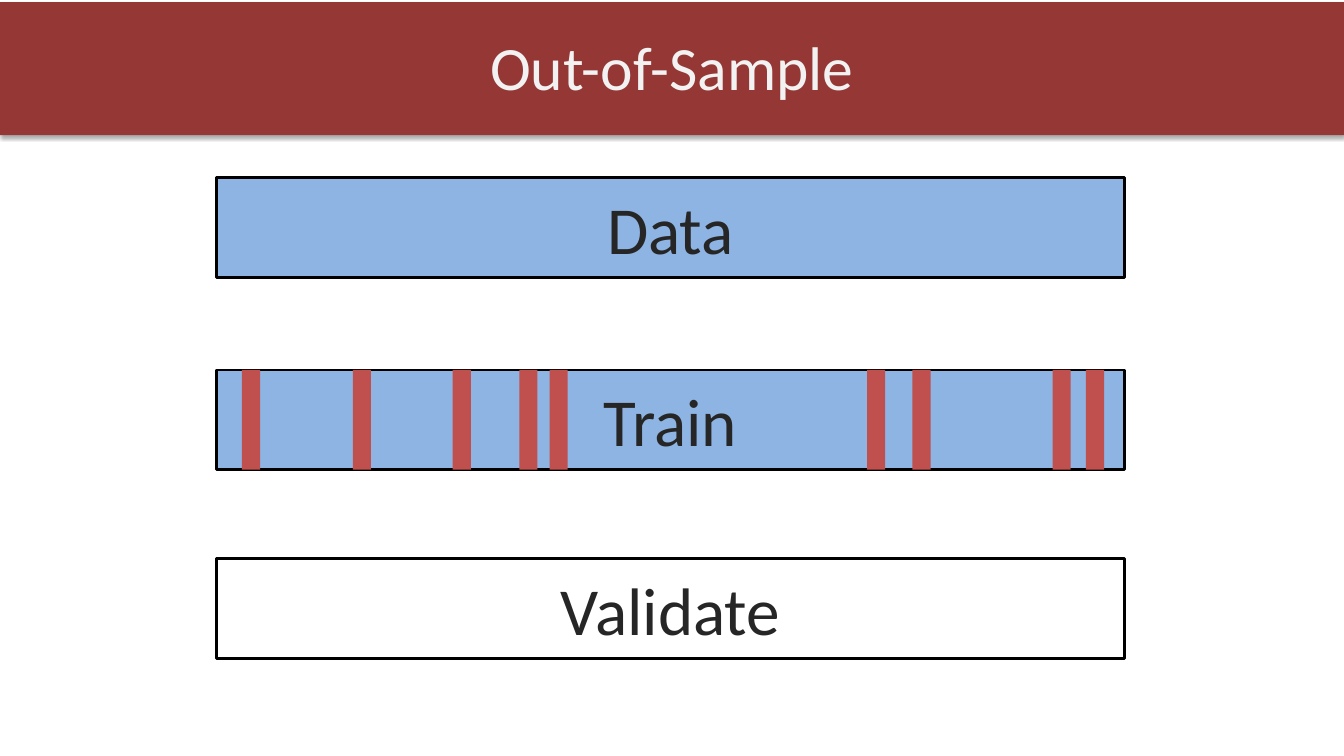
from pptx import Presentation, util as u
from pptx.dml.color import RGBColor
from pptx.enum import shapes, text
from pptx.oxml import parse_xml
from pptx.oxml.ns import nsdecls

COLORS = {
    "banner": "953735",
    "title": "F2F2F2",
    "data": "8EB4E3",
    "blank": "FFFFFF",
    "sample": "C0504D",
    "edge": "000000",
    "ink": "262626",
}


class Deck:
    font = "Calibri"

    def __init__(self, wide, high):
        self.prs = Presentation()
        self.prs.slide_width = u.Inches(wide)
        self.prs.slide_height = u.Inches(high)
        self.slide = self.prs.slides.add_slide(self.prs.slide_layouts[6])

    def color(self, name):
        return RGBColor.from_string(COLORS[name])

    def rect(self, box, fill):
        shape = self.slide.shapes.add_shape(
            shapes.MSO_SHAPE.RECTANGLE, *map(u.Inches, box))
        shape.shadow.inherit = False
        shape.fill.solid()
        shape.fill.fore_color.rgb = self.color(fill)
        shape.line.fill.background()
        return shape

    def label(self, shape, words, size, ink):
        frame = shape.text_frame
        frame.word_wrap = True
        frame.vertical_anchor = text.MSO_ANCHOR.MIDDLE
        para = frame.paragraphs[0]
        para.text = words
        para.alignment = text.PP_ALIGN.CENTER
        para.font.name = self.font
        para.font.size = u.Pt(size)
        para.font.color.rgb = self.color(ink)

    def banner(self, box):
        shape = self.rect(box, "banner")
        props = shape._element.spPr
        props.remove(props.find("{*}effectLst"))
        props.append(parse_xml(
            f'<a:effectLst {nsdecls("a")}>'
            '<a:outerShdw blurRad="40000" dist="23000" dir="5400000" rotWithShape="0">'
            f'<a:srgbClr val="{COLORS["edge"]}"><a:alpha val="35000"/></a:srgbClr>'
            '</a:outerShdw></a:effectLst>'))

    def title(self, words, box):
        shape = self.slide.shapes.add_textbox(*map(u.Inches, box))
        self.label(shape, words, 44, "title")

    def bar(self, words, box, fill):
        shape = self.rect(box, fill)
        shape.line.color.rgb = self.color("edge")
        shape.line.width = u.Pt(2)
        self.label(shape, words, 48, "ink")


def main():
    wide, high = 13.33, 0.99
    deck = Deck(wide, 7.5)
    deck.banner((0, 0.02, wide, 1.32))
    deck.title("Out-of-Sample", (0, 0.03, wide, 1.25))

    bars = [("Data", 1.76, "data"), ("Train", 3.67, "data"),
            ("Validate", 5.54, "blank")]
    for words, top, fill in bars:
        deck.bar(words, (2.15, top, 9, high), fill)

    for left in (2.4, 3.5, 4.49, 5.15, 5.45, 8.6, 9.05, 10.44, 10.77):
        deck.rect((left, 3.67, 0.18, high), "sample")

    deck.prs.save("out.pptx")


if __name__ == "__main__":
    main()
